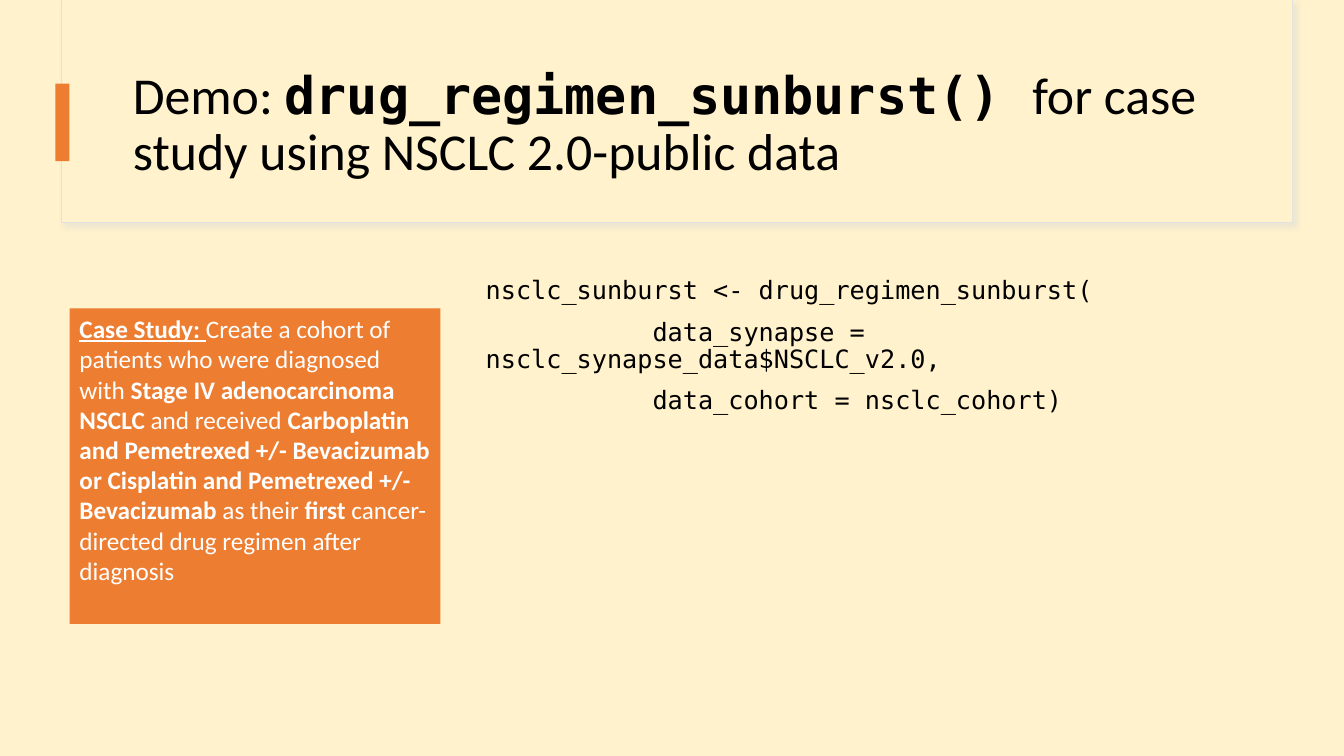
from lxml import etree
from pptx import Presentation
from pptx.dml.color import RGBColor
from pptx.enum.shapes import MSO_SHAPE
from pptx.enum.text import MSO_ANCHOR, MSO_AUTO_SIZE, PP_ALIGN
from pptx.oxml.ns import qn
from pptx.util import Pt

RECT = MSO_SHAPE.RECTANGLE
TOP, MIDDLE = MSO_ANCHOR.TOP, MSO_ANCHOR.MIDDLE
GROW = MSO_AUTO_SIZE.SHAPE_TO_FIT_TEXT
LEFT = PP_ALIGN.LEFT
SANS, MONO = "Calibri", "DejaVu Sans Mono"
COLORS = {
    "cream": "FFF2CC",
    "orange": "ED7D31",
    "edge": "E1E1E1",
    "shade": "D9D9D9",
    "black": "000000",
    "white": "FFFFFF",
}


def color(name):
    return RGBColor.from_string(COLORS[name])


def add_rect(slide, box, fill, line=None):
    rect = slide.shapes.add_shape(RECT, *map(Pt, box))
    rect.shadow.inherit = False
    rect.fill.solid()
    rect.fill.fore_color.rgb = color(fill)
    if line:
        rect.line.color.rgb = color(line)
        rect.line.width = Pt(0.75)
    else:
        rect.line.fill.background()
    return rect


def add_shade(shape):
    effects = shape._element.spPr.find(qn("a:effectLst"))
    shade = etree.SubElement(
        effects, qn("a:outerShdw"), blurRad=str(Pt(4)), dist=str(Pt(3)),
        dir=str(45 * 60000), algn="tl", rotWithShape="0")
    tint = etree.SubElement(shade, qn("a:srgbClr"), val=COLORS["shade"])
    etree.SubElement(tint, qn("a:alpha"), val="50000")


def add_box(slide, box, anchor):
    frame = slide.shapes.add_textbox(*map(Pt, box)).text_frame
    frame.word_wrap = True
    frame.vertical_anchor = anchor
    return frame


def add_run(para, text, size, tone, font=SANS, bold=False, under=False):
    run = para.add_run()
    run.text = text
    run.font.name = font
    run.font.size = Pt(size)
    run.font.bold = bold
    run.font.underline = under
    run.font.color.rgb = color(tone)


def add_title(slide):
    para = add_box(slide, (87.84, 43.2, 800.64, 92.88), MIDDLE).paragraphs[0]
    para.line_spacing = 0.9
    add_run(para, "Demo: ", 37, "black")
    add_run(para, "drug_regimen_sunburst() ", 37, "black", MONO, True)
    add_run(para, "for case study using NSCLC 2.0-public data", 37, "black")


def add_code(slide):
    frame = add_box(slide, (339.84, 195.12, 594.72, 290.88), TOP)
    lines = [
        ("nsclc_sunburst <- drug_regimen_sunburst(", 0),
        ("data_synapse = nsclc_synapse_data$NSCLC_v2.0,", 119.2),
        ("data_cohort = nsclc_cohort)", 119.2),
    ]
    for row, (text, indent) in enumerate(lines):
        para = frame.add_paragraph() if row else frame.paragraphs[0]
        para.line_spacing = 0.9
        para.space_before = Pt(10)
        props = para._p.get_or_add_pPr()
        props.set("marL", "0")
        props.set("indent", str(Pt(indent)))
        add_run(para, text, 18, "black", MONO)


def add_case(slide):
    frame = add_rect(slide, (49.68, 220.32, 264.96, 225.36), "orange").text_frame
    frame.word_wrap = True
    frame.vertical_anchor = TOP
    frame.auto_size = GROW
    para = frame.paragraphs[0]
    para.alignment = LEFT
    add_run(para, "Case Study: ", 18, "white", bold=True, under=True)
    parts = [
        ("Create a cohort of patients who were diagnosed with ", False),
        ("Stage IV adenocarcinoma NSCLC", True),
        (" and received ", False),
        ("Carboplatin and Pemetrexed +/- Bevacizumab or Cisplatin "
         "and Pemetrexed +/- Bevacizumab ", True),
        ("as their ", False),
        ("first", True),
        (" cancer-directed drug regimen after diagnosis", False),
    ]
    for text, bold in parts:
        add_run(para, text, 18, "white", bold=bold)


def main():
    deck = Presentation()
    deck.slide_width, deck.slide_height = Pt(960), Pt(540)
    slide = deck.slides.add_slide(deck.slide_layouts[6])
    slide.background.fill.solid()
    slide.background.fill.fore_color.rgb = color("cream")
    add_shade(add_rect(slide, (43.92, 0, 879.12, 159.12), "cream", "edge"))
    add_rect(slide, (44.64, 0, 878.4, 158.4), "cream")
    add_title(slide)
    add_rect(slide, (39.6, 59.76, 10.08, 55.44), "orange")
    add_code(slide)
    add_case(slide)
    deck.save("out.pptx")


if __name__ == "__main__":
    main()
